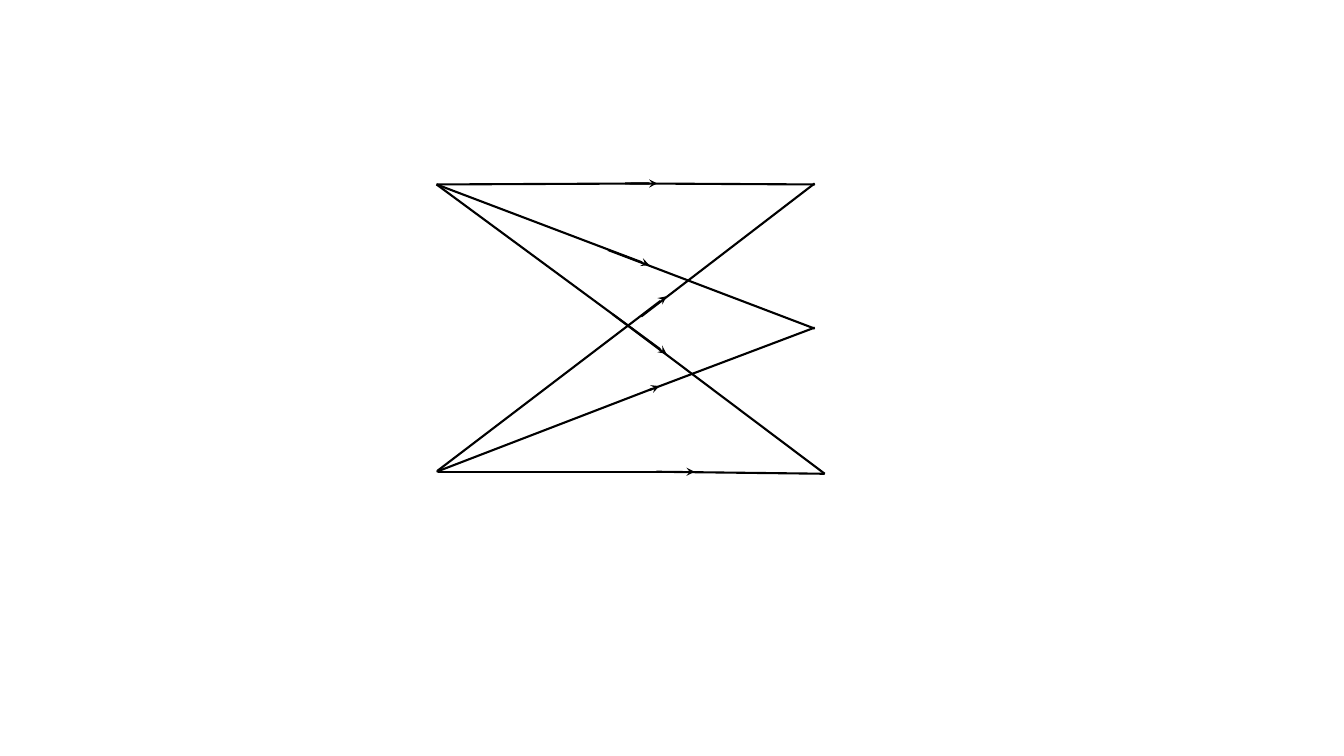
from pptx import Presentation, util as u
from pptx.dml.color import RGBColor
from pptx.enum import shapes
from pptx.oxml.ns import qn
from lxml import etree

COLUMNS, ROWS = 385, 288
UPPER_SOURCE = (0, 1)
BRANCHES = [
    ((1, 285), (228, 112), (203, 132), (375, 0)),
    (UPPER_SOURCE, (228, 169), (175, 130), (385, 288)),
    (UPPER_SOURCE, (219, 0), (187, 0), (375, 1)),
    ((1, 286), (256, 286), (218, 286), (385, 288)),
    (UPPER_SOURCE, (211, 81), (170, 66), (375, 144)),
    ((0, 286), (221, 201), (211, 205), (375, 143)),
]
STROKE = {"width": u.Pt(1.5)}


def color(value):
    return RGBColor.from_string(value)


def add_segment(slide, start, end, arrow=False):
    segment = slide.shapes.add_connector(shapes.MSO_CONNECTOR.STRAIGHT, *start, *end)
    segment.line.fill.solid()
    segment.line.color.rgb = color("000000")
    for key, value in STROKE.items():
        setattr(segment.line, key, value)
    properties = segment._element.spPr
    if arrow:
        etree.SubElement(properties.find(qn("a:ln")), qn("a:tailEnd"), type="stealth")
    etree.SubElement(properties, qn("a:effectLst"))


def add_branches(slide, left, top, width, height):
    def place(point):
        column, row = point
        return (round(left + width * column / COLUMNS),
                round(top + height * row / ROWS))

    for branch in BRANCHES:
        source, tip, resume, target = map(place, branch)
        add_segment(slide, source, tip, arrow=True)
        add_segment(slide, resume, target)


def main():
    deck = Presentation()
    deck.slide_width, deck.slide_height = u.Inches(13.33), u.Inches(7.5)
    slide = deck.slides.add_slide(deck.slide_layouts[6])
    slide.background.fill.solid()
    slide.background.fill.fore_color.rgb = color("FFFFFF")
    add_branches(slide, u.Inches(4.33), u.Inches(1.82), u.Inches(3.85), u.Inches(2.88))
    deck.save("out.pptx")


if __name__ == "__main__":
    main()
